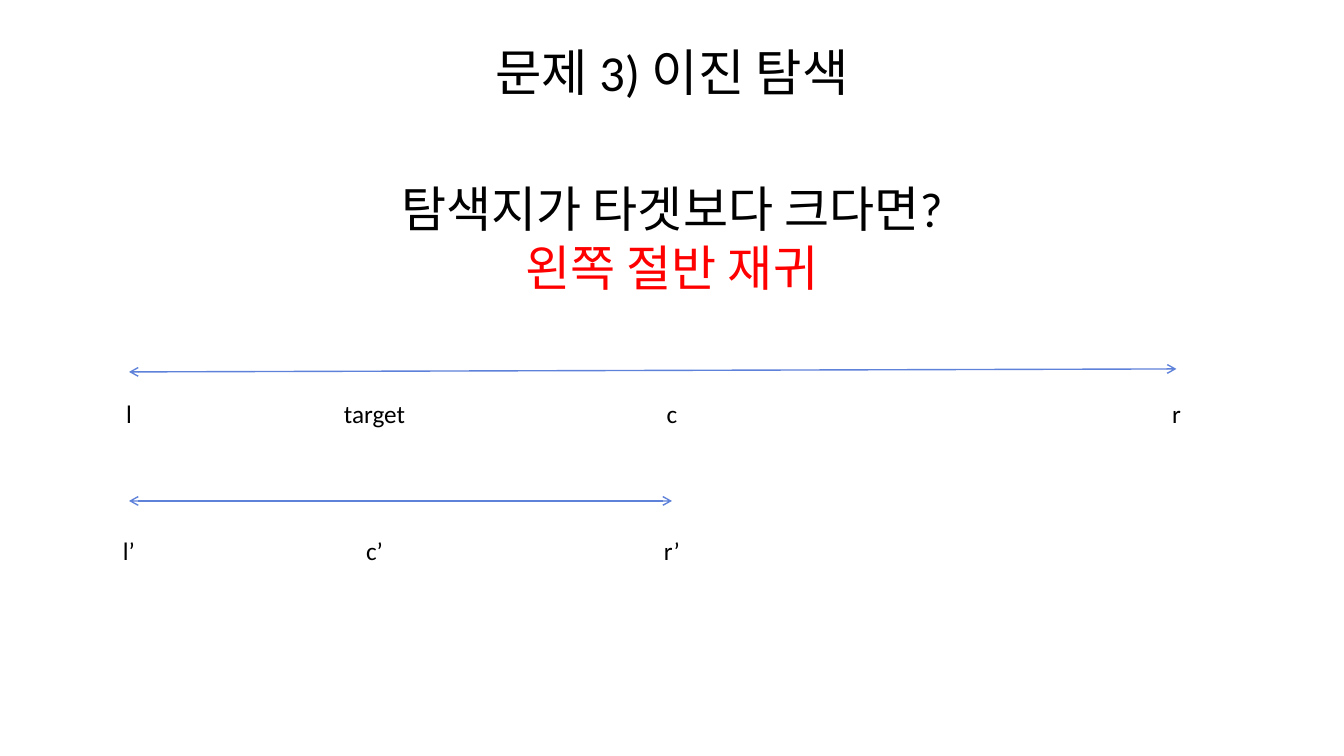
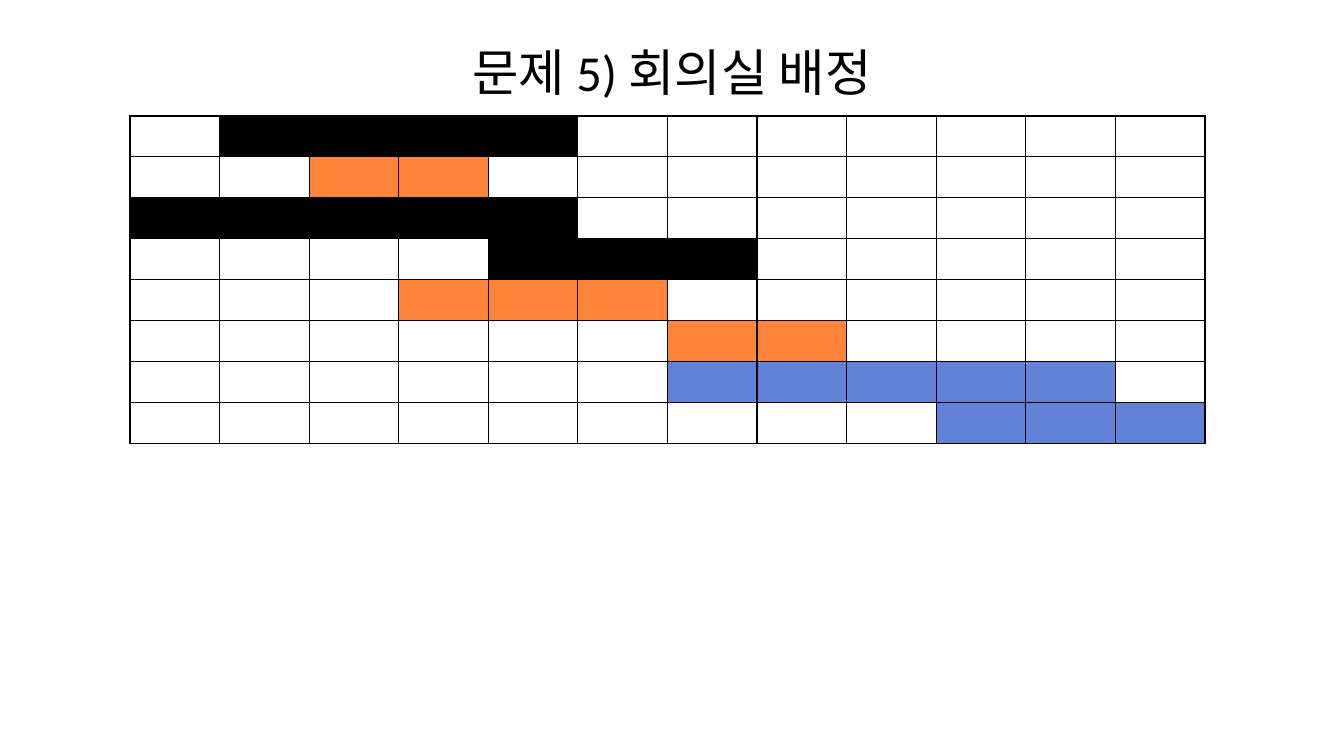
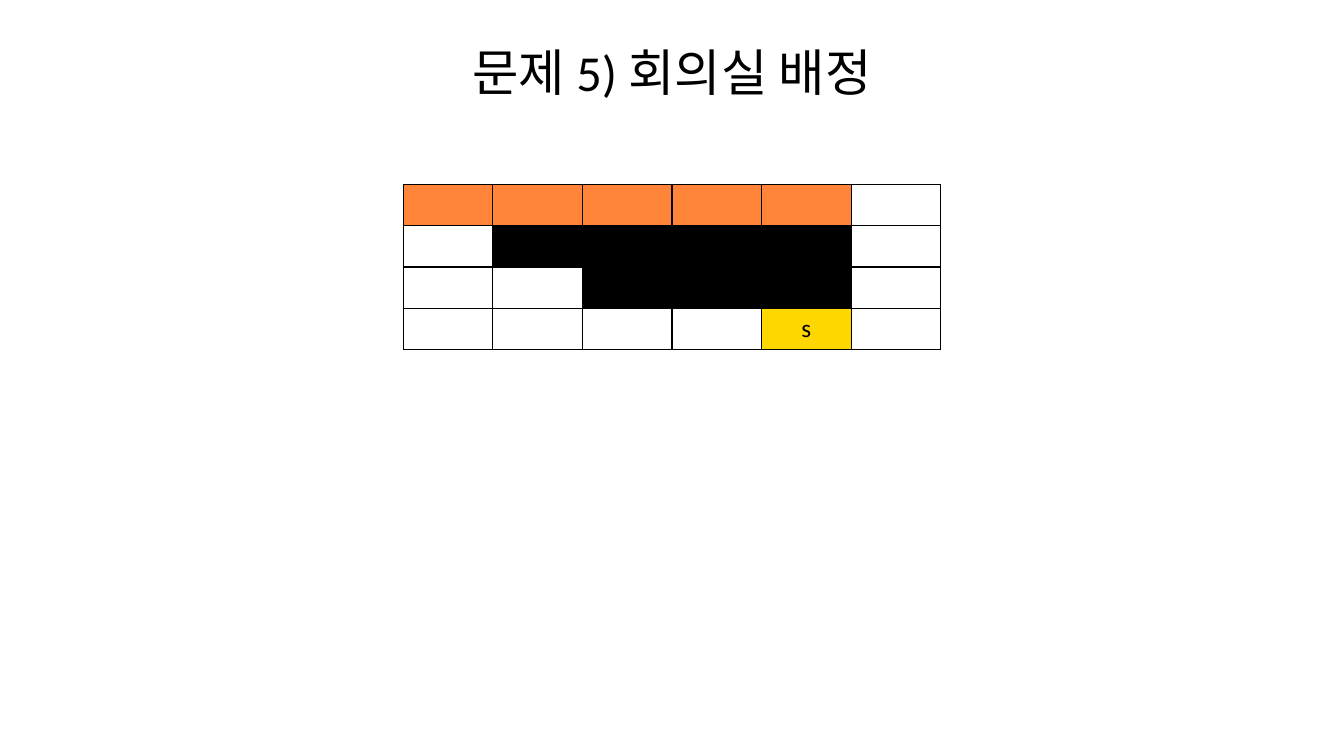
from lxml import etree
from pptx import Presentation
from pptx.dml.color import RGBColor
from pptx.enum.shapes import MSO_CONNECTOR
from pptx.enum.text import MSO_ANCHOR, MSO_AUTO_SIZE, PP_ALIGN
from pptx.oxml.ns import qn
from pptx.util import Inches, Pt

STRAIGHT = MSO_CONNECTOR.STRAIGHT
MIDDLE = MSO_ANCHOR.MIDDLE
NO_FIT = MSO_AUTO_SIZE.NONE
CENTER = PP_ALIGN.CENTER

# Grid: 15 columns by 75 rows over the whole slide
WIDTH, HEIGHT = Inches(13.33), Inches(7.5)
COLUMN, ROW = WIDTH / 15, HEIGHT / 75
TITLE_ONLY = 5

FONT = "Calibri"
BLACK, WHITE, RED = "000000", "FFFFFF", "FF0000"
ORANGE, BLUE, GOLD = "FF843A", "6182D6", "FFD700"
ARROW_BLUE = "5E81D9"


def color(value):
    return RGBColor.from_string(value)


def box(column, row, columns, rows):
    """Turn grid units into left, top, width and height."""
    return (round(column * COLUMN), round(row * ROW),
            round(columns * COLUMN), round(rows * ROW))


def write(paragraph, text, size=18, ink=BLACK, align=CENTER):
    paragraph.alignment = align
    run = paragraph.add_run()
    run.text = text
    run.font.name = FONT
    run.font.size = Pt(size)
    run.font.color.rgb = color(ink)


def outline_cell(cell, ink=BLACK, width=1):
    properties = cell._tc.get_or_add_tcPr()
    for side in ("lnL", "lnR", "lnT", "lnB"):
        border = etree.SubElement(properties, qn(f"a:{side}"), w=str(Pt(width)))
        fill = etree.SubElement(border, qn("a:solidFill"))
        etree.SubElement(fill, qn("a:srgbClr"), val=ink)


class Deck:
    def __init__(self):
        self.presentation = Presentation()
        self.presentation.slide_width = WIDTH
        self.presentation.slide_height = HEIGHT
        self.layout = self.presentation.slide_layouts[TITLE_ONLY]
        # The title position is shared through the layout
        title = self.layout.placeholders[0]
        title.left, title.top, title.width, title.height = box(0.75, 4, 13.5, 6.2)
        self.slide = None

    def new_slide(self, heading):
        self.slide = self.presentation.slides.add_slide(self.layout)
        frame = self.slide.shapes.title.text_frame
        frame.auto_size = NO_FIT
        frame.vertical_anchor = MIDDLE
        write(frame.paragraphs[0], heading, size=36)

    def text(self, lines, area, size=18):
        """Write (text, colour) lines as centred paragraphs."""
        frame = self.slide.shapes.add_textbox(*box(*area)).text_frame
        frame.word_wrap = True
        for index, (line, ink) in enumerate(lines):
            paragraph = frame.add_paragraph() if index else frame.paragraphs[0]
            write(paragraph, line, size=size, ink=ink)

    def label(self, text, center, row, columns=1.5):
        self.text([(text, BLACK)], (center - columns / 2, row, columns, 4))

    def double_arrow(self, start, end):
        left, top, right, bottom = box(*start, *end)
        arrow = self.slide.shapes.add_connector(STRAIGHT, left, top, right, bottom)
        arrow.line.color.rgb = color(ARROW_BLUE)
        arrow.line.width = Pt(1)
        line = arrow.line._get_or_add_ln()
        for tip in ("headEnd", "tailEnd"):
            etree.SubElement(line, qn(f"a:{tip}"), type="arrow")
        etree.SubElement(arrow._element.spPr, qn("a:effectLst"))

    def schedule(self, bars, column, row, columns, row_height=4.1):
        """Draw one bar per row, given as (first cell, cell count, colour)."""
        area = box(column, row, columns, row_height * len(bars))
        table = self.slide.shapes.add_table(len(bars), columns, *area).table
        table.first_row = table.horz_banding = False
        for r, (first, count, shade) in enumerate(bars):
            for c in range(columns):
                cell = table.cell(r, c)
                outline_cell(cell)
                cell.fill.solid()
                inside = first <= c < first + count
                cell.fill.fore_color.rgb = color(shade if inside else WHITE)
        return table


def binary_search(deck):
    deck.new_slide("문제 3) 이진 탐색")
    deck.text([("탐색지가 타겟보다 크다면?", BLACK), ("왼쪽 절반 재귀", RED)],
              (2.6, 17.2, 9.8, 12.6), size=35)
    left, target, center, right = 1.44, 4.18, 7.5, 13.13

    # Whole range
    deck.double_arrow((left, 36.9), (right, 36.6))
    for name, mark in (("l", left), ("target", target), ("c", center), ("r", right)):
        deck.label(name, mark, 39)

    # Left half
    deck.double_arrow((left, 49.7), (center, 49.7))
    for name, mark in (("l’", left), ("c’", target), ("r’", center)):
        deck.label(name, mark, 52.6)


def meeting_rooms(deck):
    heading = "문제 5) 회의실 배정"

    # All meetings on the time line
    deck.new_slide(heading)
    meetings = [(1, 4, BLACK), (2, 2, ORANGE), (0, 5, BLACK), (4, 3, BLACK),
                (3, 3, ORANGE), (6, 2, ORANGE), (6, 5, BLUE), (9, 3, BLUE)]
    deck.schedule(meetings, 1.45, 11.5, 12, row_height=4.06)

    # Meetings with the same end
    deck.new_slide(heading)
    same_end = [(0, 5, ORANGE), (1, 4, BLACK), (2, 3, BLACK), (4, 1, GOLD)]
    table = deck.schedule(same_end, 4.5, 18.3, 6)
    write(table.cell(3, 4).text_frame.paragraphs[0], "s")


def main():
    deck = Deck()
    binary_search(deck)
    meeting_rooms(deck)
    deck.presentation.save("out.pptx")


if __name__ == "__main__":
    main()
